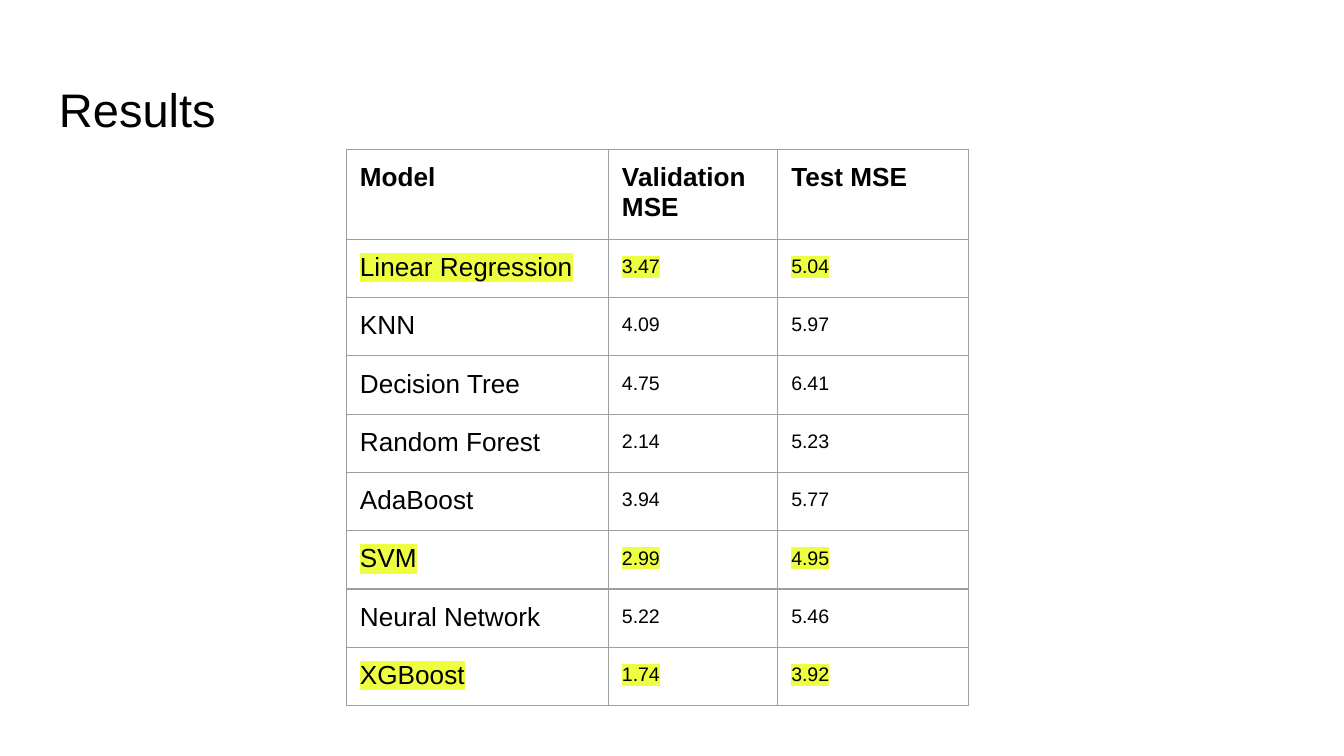
from pptx import Presentation
from pptx.dml.color import RGBColor
from pptx.enum.text import MSO_ANCHOR as Anchor
from pptx.oxml.ns import qn
from pptx.util import Pt
from lxml.etree import SubElement as Sub, Element

BLACK = RGBColor(0x00, 0x00, 0x00)
GRAY = RGBColor(0x9E, 0x9E, 0x9E)
LIME = RGBColor(0xEE, 0xFF, 0x41)

FONT = "Arial"
INSET = Pt(7.2)
WIDTHS = [140.4, 90.7, 102.2]
HEAD_H, ROW_H = 43.2, 30.05

HEAD = ("Model", "Validation MSE", "Test MSE")
ROWS = [
    ("Linear Regression", "3.47", "5.04"),
    ("KNN", "4.09", "5.97"),
    ("Decision Tree", "4.75", "6.41"),
    ("Random Forest", "2.14", "5.23"),
    ("AdaBoost", "3.94", "5.77"),
    ("SVM", "2.99", "4.95"),
    ("Neural Network", "5.22", "5.46"),
    ("XGBoost", "1.74", "3.92"),
]
MARKED = {"Linear Regression", "SVM", "XGBoost"}


def write(frame, text, size=14, bold=False, mark=None, space=None):
    """Put one formatted run of text in a text frame."""
    frame.word_wrap = True
    para = frame.paragraphs[0]
    if space:
        para.line_spacing = space
    run = para.add_run()
    run.text = text
    font = run.font
    font.name, font.size, font.bold = FONT, Pt(size), bold
    font.color.rgb = BLACK
    if mark:
        light = Element(qn("a:highlight"))
        Sub(light, qn("a:srgbClr"), val=str(mark))
        font._element.find(qn("a:solidFill")).addnext(light)


def pad(item):
    """Give a text frame or a cell equal margins."""
    item.margin_left = item.margin_right = INSET
    item.margin_top = item.margin_bottom = INSET


def border(cell):
    """Draw a thin gray line on all four sides of a cell."""
    props = cell._tc.get_or_add_tcPr()
    for side in ("lnL", "lnR", "lnT", "lnB"):
        line = Sub(props, qn(f"a:{side}"), w=str(Pt(0.75)))
        fill = Sub(line, qn("a:solidFill"))
        Sub(fill, qn("a:srgbClr"), val=str(GRAY))


def add_title(slide, text):
    box = slide.shapes.add_textbox(Pt(24.5), Pt(35.3), Pt(671), Pt(45.4))
    frame = box.text_frame
    pad(frame)
    frame.vertical_anchor = Anchor.MIDDLE
    write(frame, text, size=25.2)


def add_grid(slide, left, top):
    count = len(ROWS) + 1
    high = HEAD_H + ROW_H * len(ROWS)
    grid = slide.shapes.add_table(count, len(HEAD), Pt(left), Pt(top),
                                  Pt(sum(WIDTHS)), Pt(high)).table
    grid.first_row = grid.horz_banding = False
    for col, wide in zip(grid.columns, WIDTHS):
        col.width = Pt(wide)
    for i, row in enumerate(grid.rows):
        row.height = Pt(ROW_H if i else HEAD_H)

    for i, texts in enumerate([HEAD, *ROWS]):
        mark = LIME if texts[0] in MARKED else None
        for j, text in enumerate(texts):
            cell = grid.cell(i, j)
            pad(cell)
            border(cell)
            cell.fill.background()
            if i and j:
                write(cell.text_frame, text, size=10.5, mark=mark, space=1.15)
            else:
                write(cell.text_frame, text, bold=not i, mark=mark)


def main():
    deck = Presentation()
    deck.slide_width, deck.slide_height = Pt(720), Pt(405)
    slide = deck.slides.add_slide(deck.slide_layouts[6])

    # Heading
    add_title(slide, "Results")

    # Model scores, best rows highlighted
    add_grid(slide, 185.6, 80.1)

    deck.save("out.pptx")


if __name__ == "__main__":
    main()
